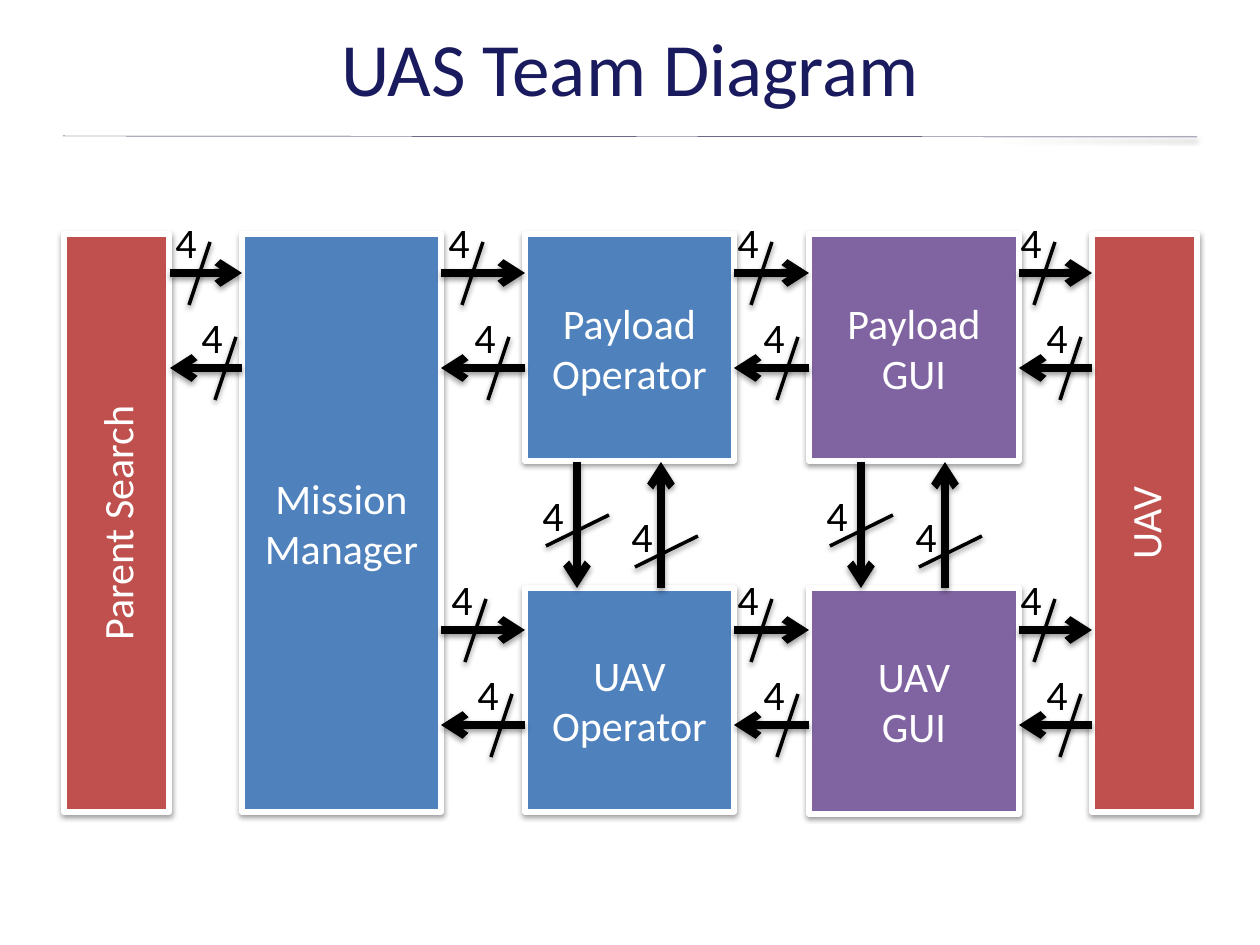
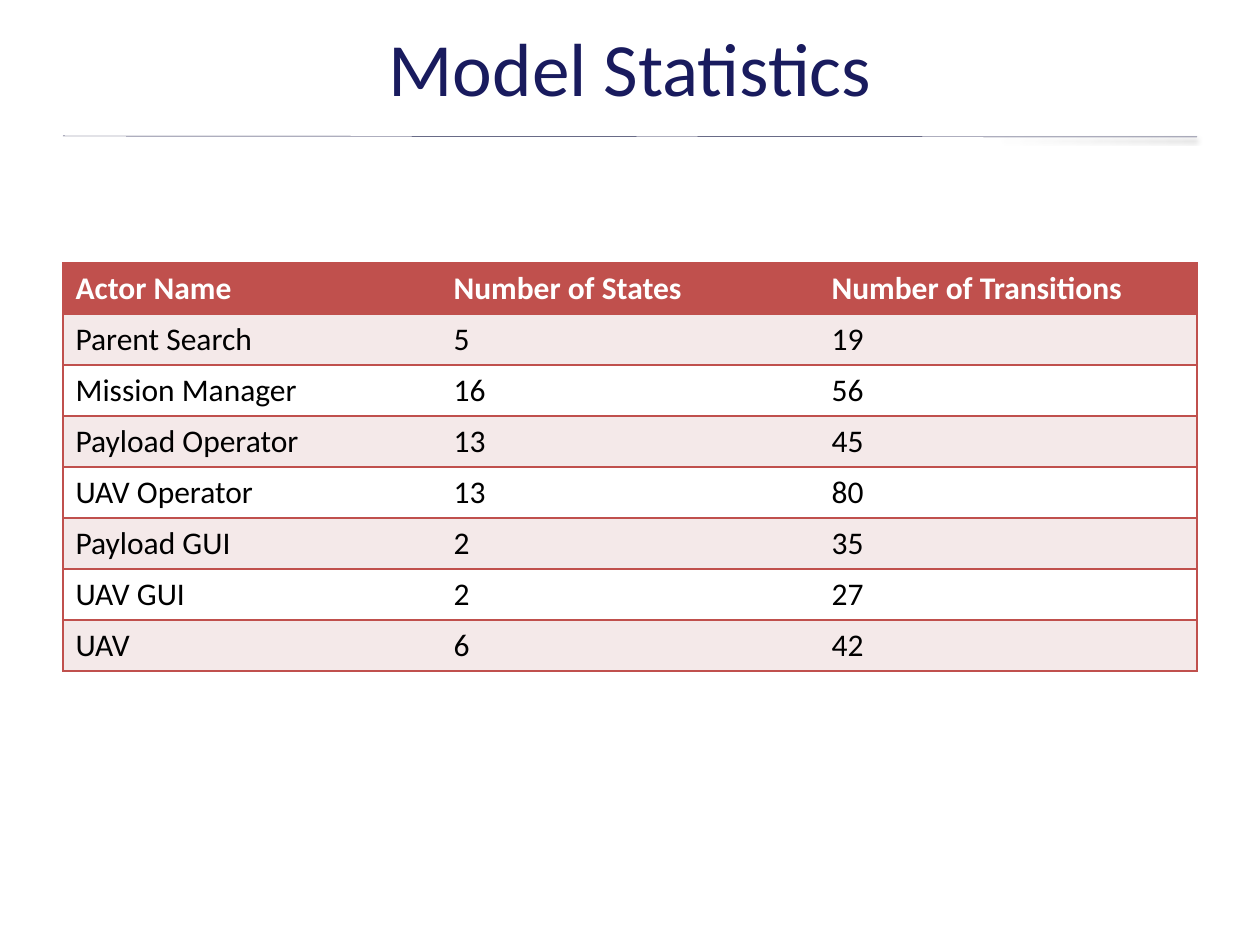
from lxml import etree
from pptx import Presentation
from pptx import util as u
from pptx.dml.color import RGBColor
from pptx.enum import shapes, text
from pptx.oxml import ns

PX = 914400 / 126  # EMU in one px
FONT = "Calibri"
COLORS = {
    "title": "191B5E", "rule": "1A1C47", "ink": "000000", "white": "FFFFFF",
    "external": "C0504D", "operator": "4F81BD", "gui": "8064A2", "band": "F4E9E9",
}

# Team diagram: columns of actors and the two rows they stand in
TOP, BOTTOM, FULL_HEIGHT = 234, 588, 578
ACTORS = [  # left, top, width, height, colour, lines, turned
    (64, TOP, 105, FULL_HEIGHT, "external", ["Parent Search"], True),
    (809, TOP, 210, 227, "gui", ["Payload", "GUI"], False),
    (809, BOTTOM, 210, 226, "gui", ["UAV", "GUI"], False),
    (1092, TOP, 105, FULL_HEIGHT, "external", ["UAV"], True),
    (525, TOP, 209, 227, "operator", ["Payload Operator"], False),
    (525, BOTTOM, 209, 224, "operator", ["UAV Operator"], False),
    (242, TOP, 199, FULL_HEIGHT, "operator", ["Mission Manager"], False),
]
COLUMN_GAPS = [(170, 242, 163), (441, 525, 436), (734, 809, 725), (1019, 1092, 1008)]
BUS_WIDTH = "4"

STATISTICS = [
    ("Actor Name", "Number of States", "Number of Transitions"),
    ("Parent Search", "5", "19"),
    ("Mission Manager", "16", "56"),
    ("Payload Operator", "13", "45"),
    ("UAV Operator", "13", "80"),
    ("Payload GUI", "2", "35"),
    ("UAV GUI", "2", "27"),
    ("UAV", "6", "42"),
]


def emu(*lengths):
    return [u.Emu(round(length * PX)) for length in lengths]


def rgb(color):
    return RGBColor.from_string(COLORS[color])


def sub(parent, tag, **attributes):
    return etree.SubElement(parent, ns.qn(tag), attributes)


def add_run(paragraph, words, size, color, bold=False):
    run = paragraph.add_run()
    run.text = words
    run.font.name, run.font.size, run.font.bold = FONT, u.Pt(size), bold
    run.font.color.rgb = rgb(color)


def add_shadow(shape):
    """Soft shadow straight below; call it once the line is set."""
    effects = sub(shape._element.spPr, "a:effectLst")
    shadow = sub(effects, "a:outerShdw", blurRad="40000", dist="20000",
                 dir="5400000", rotWithShape="0")
    sub(sub(shadow, "a:srgbClr", val=COLORS["ink"]), "a:alpha", val="38000")


def add_line(slide, start, end, color, width, arrow=False):
    line = slide.shapes.add_connector(shapes.MSO_CONNECTOR.STRAIGHT, *emu(*start, *end))
    line.line.color.rgb = rgb(color)
    line.line.width = u.Pt(width)
    if arrow:
        sub(line._element.spPr.find(ns.qn("a:ln")), "a:tailEnd", type="arrow")
    add_shadow(line)


def add_titled_slide(deck, title):
    slide = deck.slides.add_slide(deck.slide_layouts[6])
    add_line(slide, (63, 136), (1197, 137), "rule", 0.25)
    frame = slide.shapes.add_textbox(*emu(63, 18, 1134, 118)).text_frame
    frame.word_wrap = True
    frame.vertical_anchor = text.MSO_ANCHOR.MIDDLE
    heading = frame.paragraphs[0]
    heading.alignment = text.PP_ALIGN.CENTER
    heading.line_spacing = u.Pt(40)
    add_run(heading, title, 43, "title")
    return slide


def add_actor(slide, left, top, width, height, color, lines, turned):
    actor = slide.shapes.add_shape(shapes.MSO_SHAPE.RECTANGLE, *emu(left, top, width, height))
    actor.fill.solid()
    actor.fill.fore_color.rgb = rgb(color)
    actor.line.color.rgb = rgb("white")
    actor.line.width = u.Pt(3)
    add_shadow(actor)
    frame = actor.text_frame
    frame.word_wrap = True
    frame.vertical_anchor = text.MSO_ANCHOR.MIDDLE
    if turned:
        frame._txBody.bodyPr.set("vert", "vert270")
    for i, words in enumerate(lines):
        paragraph = frame.add_paragraph() if i else frame.paragraphs[0]
        paragraph.alignment = text.PP_ALIGN.CENTER
        add_run(paragraph, words, 24, "white")


def add_bus_mark(slide, left, top, upright):
    """Bus width with the slash that crosses its arrow."""
    frame = slide.shapes.add_textbox(*emu(left, top, 47, 63)).text_frame
    frame.word_wrap = False
    frame.auto_size = text.MSO_AUTO_SIZE.SHAPE_TO_FIT_TEXT
    add_run(frame.paragraphs[0], BUS_WIDTH, 24, "ink")
    (x1, y1), (x2, y2) = ((79, 32), (16, 63)) if upright else ((47, 32), (26, 95))
    add_line(slide, (left + x1, top + y1), (left + x2, top + y2), "ink", 2)


def add_bus(slide, start, end, mark):
    add_line(slide, start, end, "ink", 4.5, arrow=True)
    add_bus_mark(slide, *mark, upright=start[0] == end[0])


def add_row_buses(slide, y, gaps):
    """A bus each way across every column gap."""
    back = y + 95
    for left, right, mark in gaps:
        add_bus(slide, (left, y), (right, y), (mark, y - 63))
        add_bus(slide, (right, back), (left, back), (mark + 26, back - 63))


def add_column_buses(slide, x):
    """A bus down and a bus up between the two rows."""
    add_bus(slide, (x, 462), (x, BOTTOM), (x - 47, 483))
    add_bus(slide, (x + 84, BOTTOM), (x + 84, 462), (x + 42, 504))


def add_border(cell, side, visible):
    border = sub(cell._tc.get_or_add_tcPr(), f"a:ln{side}", w=str(u.Pt(1)))
    if visible:
        sub(sub(border, "a:solidFill"), "a:srgbClr", val=COLORS["external"])
    else:
        sub(border, "a:noFill")


def add_statistics(slide, rows):
    columns = len(rows[0])
    table = slide.shapes.add_table(len(rows), columns, *emu(63, 263, 1134, 51 * len(rows))).table
    for r, row in enumerate(rows):
        header = r == 0
        fill = "external" if header else "band" if r % 2 else "white"
        for c, words in enumerate(row):
            cell = table.cell(r, c)
            for side, visible in (("L", c == 0), ("R", c == columns - 1), ("T", True), ("B", True)):
                add_border(cell, side, visible)
            cell.fill.solid()
            cell.fill.fore_color.rgb = rgb(fill)
            add_run(cell.text_frame.paragraphs[0], words, 18, "white" if header else "ink", header)


def main():
    deck = Presentation()
    deck.slide_width, deck.slide_height = emu(1260, 945)

    # Team diagram
    diagram = add_titled_slide(deck, "UAS Team Diagram")
    for actor in ACTORS:
        add_actor(diagram, *actor)
    add_row_buses(diagram, 273, COLUMN_GAPS)
    add_row_buses(diagram, 630, [(441, 525, 439)] + COLUMN_GAPS[2:])
    for x in (577, 861):
        add_column_buses(diagram, x)

    # Statistics table
    add_statistics(add_titled_slide(deck, "Model Statistics"), STATISTICS)

    deck.save("out.pptx")


if __name__ == "__main__":
    main()
